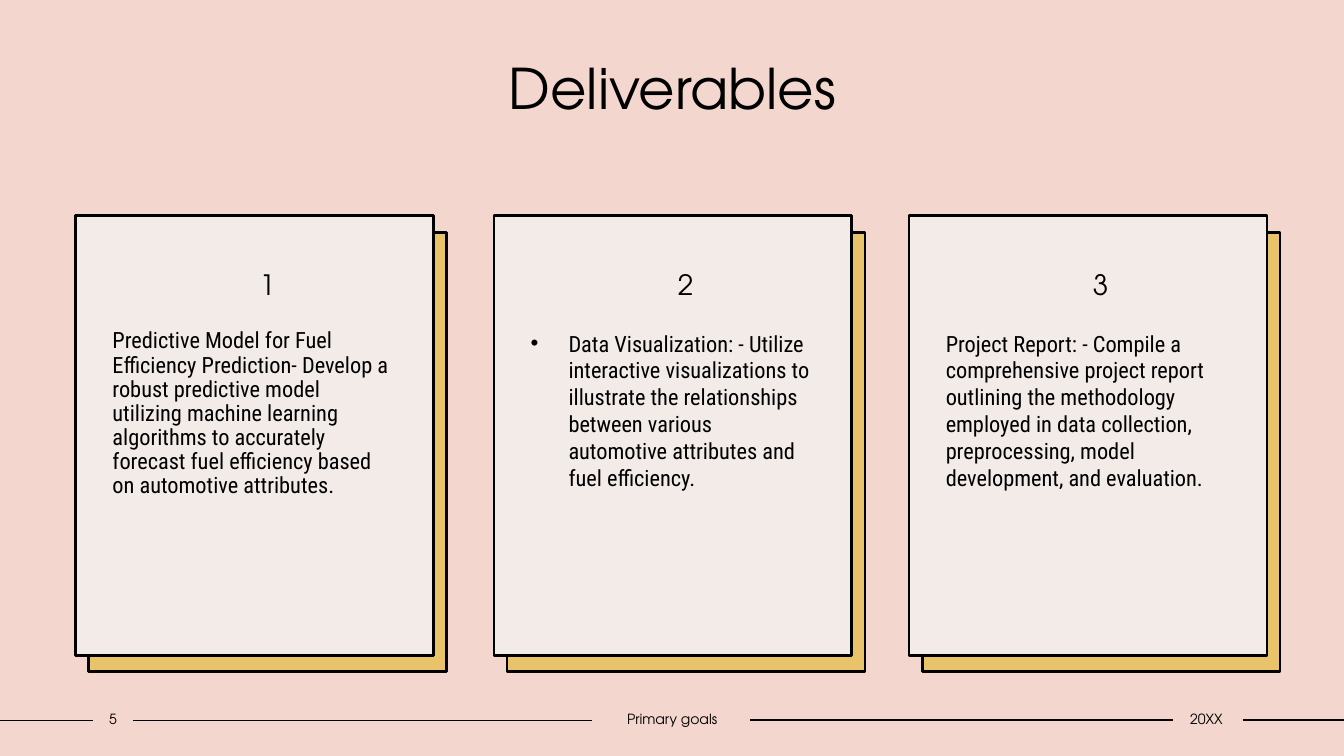
from lxml import etree
from pptx import Presentation
from pptx.dml.color import RGBColor
from pptx.enum import shapes, text
from pptx.oxml import ns
from pptx.util import Cm, Pt

PINK = RGBColor(0xF3, 0xD6, 0xCD)
CREAM = RGBColor(0xF3, 0xEB, 0xE8)
GOLD = RGBColor(0xE9, 0xC3, 0x69)
BLACK = RGBColor(0, 0, 0)
HEAD = "TeX Gyre Adventor"
BODY = "Roboto Condensed"
LEFT, MID = text.PP_ALIGN.LEFT, text.PP_ALIGN.CENTER
TOP = text.MSO_ANCHOR.TOP


def write(shape, words, face, size, align, anchor=TOP):
    frame = shape.text_frame
    frame.text = words
    frame.word_wrap = True
    frame.auto_size = text.MSO_AUTO_SIZE.NONE
    frame.vertical_anchor = anchor
    para = frame.paragraphs[0]
    para.alignment = align
    para.space_before = Pt(0)
    font = para.runs[0].font
    font.name, font.size, font.bold = face, Pt(size), False
    font.color.rgb = BLACK
    return para


def panel(left, top, fill):
    box = slide.shapes.add_shape(shapes.MSO_SHAPE.RECTANGLE,
                                 Cm(left), Cm(top), Cm(9.02), Cm(11.07))
    box.shadow.inherit = False
    box.fill.solid()
    box.fill.fore_color.rgb = fill
    box.line.color.rgb = BLACK
    box.line.width = Pt(2)
    return box


deck = Presentation()
deck.slide_width, deck.slide_height = Cm(33.87), Cm(19.05)
slide = deck.slides.add_slide(deck.slide_layouts[4])
slide.background.fill.solid()
slide.background.fill.fore_color.rgb = PINK

# Title
title = slide.shapes.title
title.left, title.top, title.width, title.height = Cm(3.18), Cm(1.42), Cm(27.53), Cm(2.82)
write(title, "Deliverables", HEAD, 40, MID).line_spacing = 0.9

# Numbered cards, each with a gold panel behind and a body text on top
cards = [
    (1.91, 0.9, "Predictive Model for Fuel Efficiency Prediction- Develop a robust "
     "predictive model utilizing machine learning algorithms to accurately "
     "forecast fuel efficiency based on automotive attributes."),
    (12.45, 1.0, "Data Visualization: - Utilize interactive visualizations to "
     "illustrate the relationships between various automotive attributes "
     "and fuel efficiency."),
    (22.91, 1.0, "Project Report: - Compile a comprehensive project report outlining "
     "the methodology employed in data collection, preprocessing, model "
     "development, and evaluation."),
]
bodies = list(slide.placeholders)[1:]
for num, ((left, gap, words), body) in enumerate(zip(cards, bodies), 1):
    panel(left + 0.33, 5.85, GOLD)
    card = panel(left, 5.44, CREAM)
    write(card, str(num), HEAD, 20, MID).line_spacing = 0.9
    card.text_frame.margin_left = Cm(0.89)
    card.text_frame.margin_top = Cm(1.4)

    body.left, body.top, body.width, body.height = Cm(left + 0.67), Cm(8.18), Cm(7.62), Cm(7.75)
    body.text_frame.text = words
    props = body.text_frame.paragraphs[0]._p.get_or_add_pPr()
    props.set("marL", "0")
    props.set("indent", "0")
    etree.SubElement(props, ns.qn("a:buNone"))
    write(body, words, BODY, 16, LEFT).line_spacing = gap
    slide.shapes._spTree.append(body._element)

# The layout's spare placeholder
spare = bodies[-1]._element
spare.getparent().remove(spare)

# Footer rules
for start, end, y in [(0, 2.34, 18.16), (3.35, 14.91, 18.16),
                      (18.9, 29.57, 18.14), (31.32, 33.87, 18.14)]:
    rule = slide.shapes.add_connector(shapes.MSO_CONNECTOR.STRAIGHT,
                                      Cm(start), Cm(y), Cm(end), Cm(y))
    rule.line.color.rgb = BLACK
    rule.line.width = Pt(1)
    etree.SubElement(rule._element.spPr, ns.qn("a:effectLst"))

# Footer texts
for left, width, words in [(2.34, 1.02, "5"), (14.91, 4.06, "Primary goals"),
                           (29.51, 1.78, "20XX")]:
    note = slide.shapes.add_textbox(Cm(left), Cm(17.78), Cm(width), Cm(0.69))
    note.text_frame.margin_left = note.text_frame.margin_right = 0
    write(note, words, HEAD, 10, MID, text.MSO_ANCHOR.MIDDLE)

deck.save("out.pptx")
